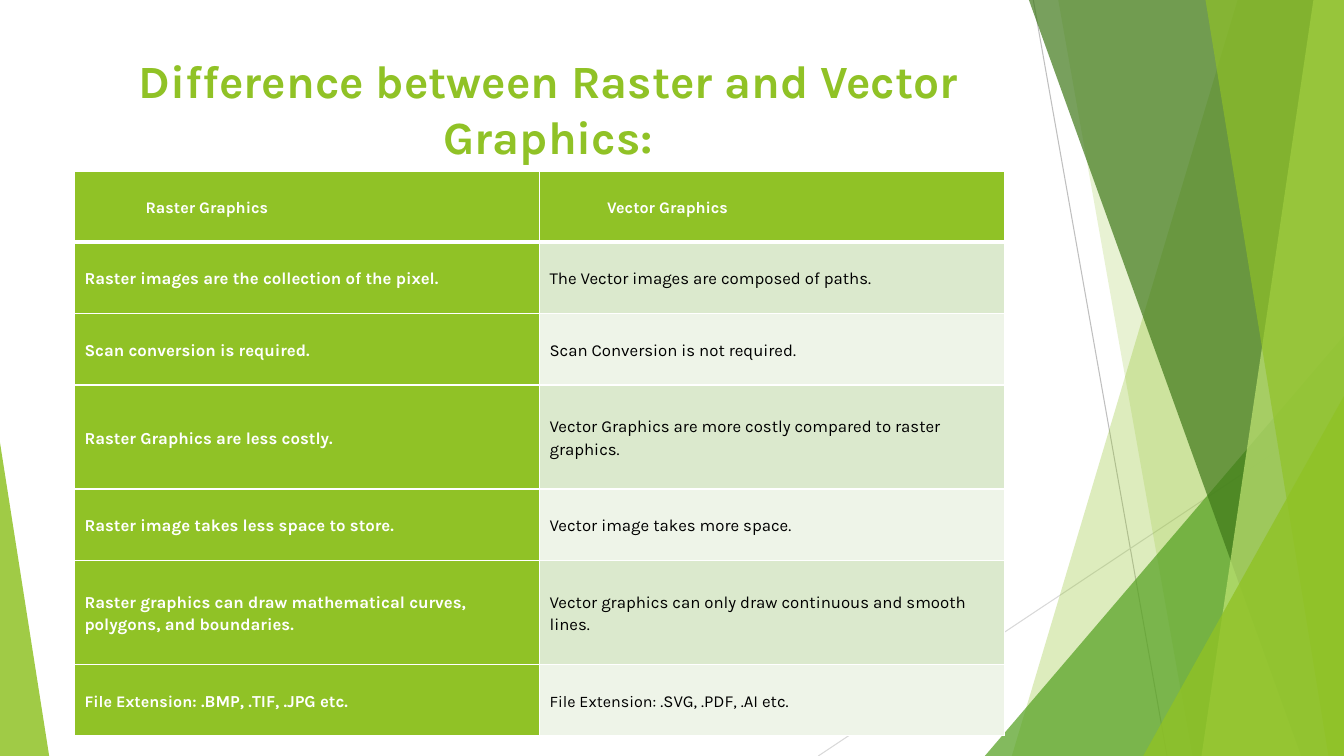
import pptx
import pptx.dml.color
import pptx.enum.shapes
import pptx.enum.text
import pptx.oxml
import pptx.oxml.ns
import pptx.util
from pptx.util import Cm

COLORS = {
    "lime": "90C226",
    "leaf": "54A021",
    "forest": "3F7819",
    "pale": "C0E474",
    "white": "FFFFFF",
    "black": "000000",
    "band_dark": "DBE9CD",
    "band_light": "EEF4E8",
    "gray": "BFBFBF",
    "light_gray": "D9D9D9",
}
WIDTH, HEIGHT = 33.87, 19.05
ROW_HEIGHTS = [1.78, 1.8, 1.8, 2.62, 1.8, 2.62, 1.8]
HEADERS = [("Raster Graphics", 1.54), ("Vector Graphics", 1.45)]
COMPARISON = [
    ("Raster images are the collection of the pixel.", "The Vector images are composed of paths."),
    ("Scan conversion is required.", "Scan Conversion is not required."),
    ("Raster Graphics are less costly.", "Vector Graphics are more costly compared to raster graphics."),
    ("Raster image takes less space to store.", "Vector image takes more space."),
    ("Raster graphics can draw mathematical curves, polygons, and boundaries.",
     "Vector graphics can only draw continuous and smooth lines."),
]
EXTENSIONS = (" .BMP, .TIF, .JPG etc.", " .SVG, .PDF, .AI etc.")


def rgb(color):
    return pptx.dml.color.RGBColor.from_string(COLORS[color])


class SlideBuilder:
    font = "Karla"

    def __init__(self, slide):
        self.slide = slide

    def line(self, start, end, color):
        connector = self.slide.shapes.add_connector(
            pptx.enum.shapes.MSO_CONNECTOR.STRAIGHT, *map(Cm, start + end))
        connector.line.color.rgb = rgb(color)
        connector.line.width = pptx.util.Pt(0.75)
        properties = connector._element.spPr
        properties.append(properties.makeelement(pptx.oxml.ns.qn("a:effectLst")))

    def paint(self, shape, color, opacity):
        shape.shadow.inherit = False
        shape.line.fill.background()
        shape.fill.solid()
        shape.fill.fore_color.rgb = rgb(color)
        color_element = shape._element.spPr.find(".//" + pptx.oxml.ns.qn("a:srgbClr"))
        alpha = color_element.makeelement(pptx.oxml.ns.qn("a:alpha"), {"val": str(opacity * 1000)})
        color_element.append(alpha)

    def ribbon(self, top_x, bottom_x, color, opacity):
        builder = self.slide.shapes.build_freeform(Cm(top_x), 0, scale=1.0)
        corners = [(WIDTH, 0), (WIDTH, HEIGHT), (bottom_x, HEIGHT)]
        builder.add_line_segments([(Cm(x), Cm(y)) for x, y in corners], close=True)
        self.paint(builder.convert_to_shape(), color, opacity)

    def triangle(self, left, top, width, apex, color, opacity):
        shape = self.slide.shapes.add_shape(
            pptx.enum.shapes.MSO_SHAPE.ISOSCELES_TRIANGLE,
            Cm(left), Cm(top), Cm(width), Cm(HEIGHT - top))
        shape.adjustments[0] = apex
        self.paint(shape, color, opacity)

    def run(self, paragraph, text, size, color, bold):
        run = paragraph.add_run()
        run.text = text
        run.font.name = self.font
        run.font.size = pptx.util.Pt(size)
        run.font.bold = bold
        run.font.color.rgb = rgb(color)

    def title(self, text):
        box = self.slide.shapes.add_textbox(Cm(1.88), Cm(1.2), Cm(23.88), Cm(3))
        frame = box.text_frame
        frame.word_wrap = True
        paragraph = frame.paragraphs[0]
        paragraph.alignment = pptx.enum.text.PP_ALIGN.CENTER
        self.run(paragraph, text, 33, "lime", True)

    def border(self, cell, side, points):
        cell._tc.get_or_add_tcPr().append(pptx.oxml.parse_xml(
            f'<a:{side} {pptx.oxml.ns.nsdecls("a")} w="{pptx.util.Pt(points)}"><a:solidFill>'
            f'<a:srgbClr val="{COLORS["white"]}"/></a:solidFill></a:{side}>'))

    def cell(self, cell, runs, fill, color, bold, top=1, bottom=1, indent=0):
        for side, points in (("lnL", 1), ("lnR", 1), ("lnT", top), ("lnB", bottom)):
            self.border(cell, side, points)
        cell.fill.solid()
        cell.fill.fore_color.rgb = rgb(fill)
        cell.vertical_anchor = pptx.enum.text.MSO_ANCHOR.MIDDLE
        cell.margin_left = cell.margin_right = Cm(0.25)
        cell.margin_top = cell.margin_bottom = Cm(0.36)
        paragraph = cell.text_frame.paragraphs[0]
        paragraph.line_spacing = 1.15
        if indent:
            paragraph._p.get_or_add_pPr().set("marL", str(Cm(indent)))
        for text, size in runs:
            self.run(paragraph, text, size, color, bold)

    def comparison_table(self):
        table = self.slide.shapes.add_table(
            len(ROW_HEIGHTS), 2, Cm(1.88), Cm(4.32), Cm(23.44), Cm(sum(ROW_HEIGHTS))).table
        for column in table.columns:
            column.width = Cm(11.72)
        for row, height in zip(table.rows, ROW_HEIGHTS):
            row.height = Cm(height)
        for column, (text, indent) in enumerate(HEADERS):
            self.cell(table.cell(0, column), [(text, 11.5)], "lime", "white", True,
                      bottom=3, indent=indent)
        body = [[[(text, 12)] for text in pair] for pair in COMPARISON]
        body.append([[("File Extension:", 11.5), (text, 12)] for text in EXTENSIONS])
        for row, (raster, vector) in enumerate(body, 1):
            top = 3 if row == 1 else 1
            band = "band_dark" if row % 2 else "band_light"
            self.cell(table.cell(row, 0), raster, "lime", "white", True, top)
            self.cell(table.cell(row, 1), vector, band, "black", False, top)


def main():
    presentation = pptx.Presentation()
    presentation.slide_width = Cm(WIDTH)
    presentation.slide_height = Cm(HEIGHT)
    builder = SlideBuilder(presentation.slides.add_slide(presentation.slide_layouts[6]))
    builder.line((26.04, 0), (29.41, HEIGHT), "gray")
    builder.line((WIDTH, 10.24), (20.62, HEIGHT), "light_gray")
    builder.ribbon(31.19, 25.5, "lime", 30)
    builder.ribbon(26.67, 30.05, "lime", 20)
    builder.triangle(24.82, 8.46, 9.05, 1, "leaf", 72)
    builder.ribbon(25.93, 32.79, "forest", 70)
    builder.ribbon(33.1, 30.28, "pale", 70)
    builder.ribbon(30.38, 33.48, "lime", 65)
    builder.triangle(28.81, 9.98, 5.06, 1, "lime", 80)
    builder.triangle(0, 11.15, 1.24, 0, "lime", 85)
    builder.title("Difference between Raster and Vector Graphics:")
    builder.comparison_table()
    presentation.save("out.pptx")


if __name__ == "__main__":
    main()
